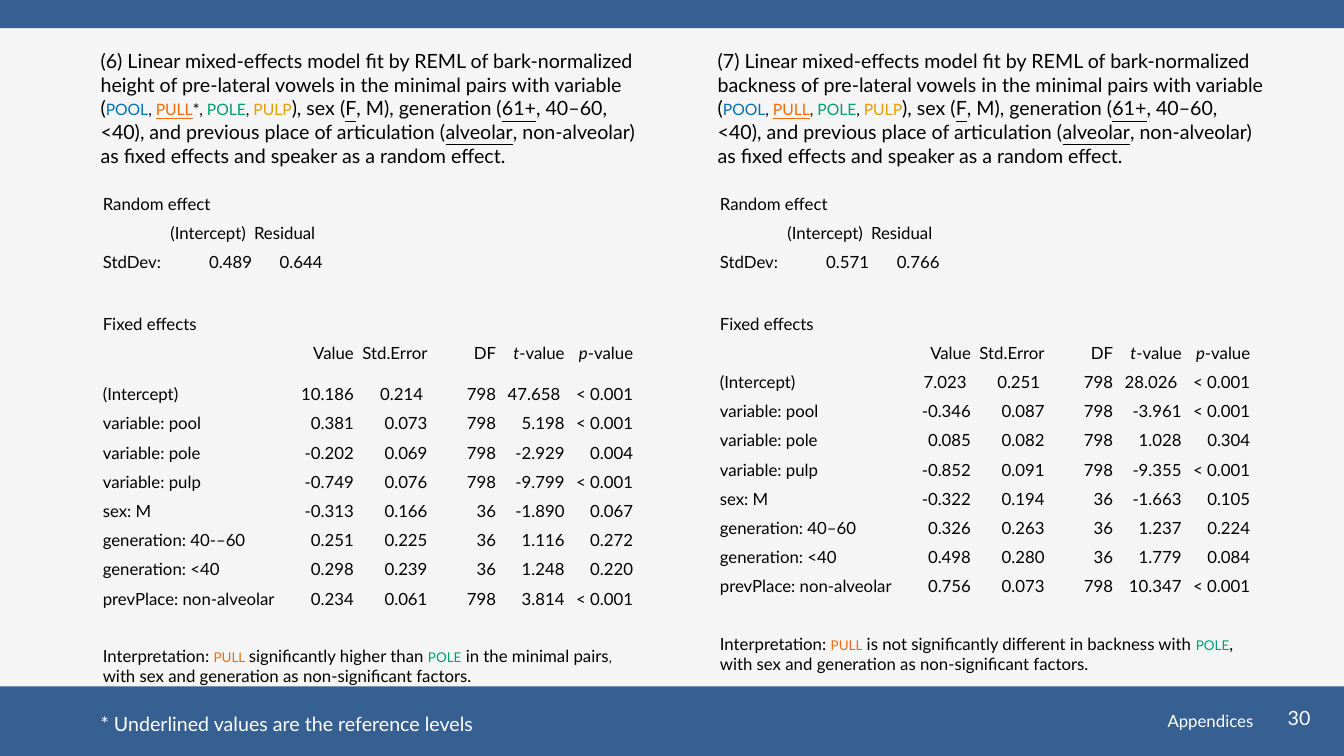
from pptx import Presentation, util as u
from pptx.dml.color import RGBColor
from pptx.enum import shapes, text

INK, WHITE, NAVY = "000000", "FFFFFF", "376092"
WORD_COLOURS = {"pool": "0072B2", "pull": "F06C0A", "pole": "009E73", "pulp": "E69F00"}
NO_GRID_STYLE = "{2D5ABB26-0587-4C30-8999-92F81FD0307C}"
rgb = RGBColor.from_string
ALIGN = text.PP_ALIGN
ANCHOR = text.MSO_ANCHOR

deck = Presentation()
deck.slide_width, deck.slide_height = u.Inches(13.33), u.Inches(7.5)
page = deck.slides.add_slide(deck.slide_layouts[6])
page.background.fill.solid()
page.background.fill.fore_color.rgb = rgb("F5F5F5")


def write(para, words, size=12, colour=INK, underline=False, italic=False, small=False):
    """Add one span; a keyword of the study takes its colour and small caps."""
    span = para.add_run()
    span.text = words
    keyword = words.strip() in WORD_COLOURS
    font = span.font
    font.name, font.size = "Lato", u.Pt(size)
    font.color.rgb = rgb(WORD_COLOURS[words.strip()] if keyword else colour)
    if underline:
        font.underline = True
    if italic:
        font.italic = True
    if small or keyword:
        font._element.set("cap", "small")


def lay_table(left, top, columns, heights, rows, left_rows):
    """Place a plain table; a row with one entry spans every column."""
    frame = page.shapes.add_table(len(rows), len(columns), u.Inches(left), u.Inches(top),
                                  u.Inches(sum(columns)), u.Inches(sum(heights)))
    table = frame.table
    table.first_row = table.horz_banding = False
    table._tbl.tblPr[0].text = NO_GRID_STYLE
    for column, width in zip(table.columns, columns):
        column.width = u.Inches(width)
    for r, row in enumerate(rows):
        table.rows[r].height = u.Inches(heights[r])
        if len(row) == 1:
            table.cell(r, 0).merge(table.cell(r, len(columns) - 1))
        for c in range(len(columns)):
            cell = table.cell(r, c)
            cell.fill.background()
            cell.vertical_anchor = ANCHOR.BOTTOM
            cell.margin_left = cell.margin_right = cell.margin_top = u.Inches(0.01)
            cell.margin_bottom = 0
            para = cell.text_frame.paragraphs[0]
            entry = row[c] if c < len(row) else ""
            if not entry:
                para._p.get_or_add_endParaRPr().set("sz", "1200")
                continue
            para.alignment = ALIGN.LEFT if c == 0 or r in left_rows else ALIGN.RIGHT
            for words, style in [(entry, {})] if isinstance(entry, str) else entry:
                write(para, words, **style)


# Bands at the foot and head of the page
for top, height in ((6.81, 0.69), (0, 0.28)):
    band = page.shapes.add_shape(shapes.MSO_SHAPE.RECTANGLE, 0, u.Inches(top),
                                 deck.slide_width, u.Inches(height))
    band.shadow.inherit = False
    band.fill.solid()
    band.fill.fore_color.rgb = rgb(NAVY)
    band.line.fill.background()

# Content of the two models
PLAIN, MARKED, ITALIC, SMALL = {}, {"underline": True}, {"italic": True}, {"small": True}
HEADER = ["", "Value", "Std.Error", "DF",
          [("t", ITALIC), ("-value", PLAIN)], [("p", ITALIC), ("-value", PLAIN)]]
models = [
    dict(number=6, measure="height", after_pull="*, ", deviations=["0.489", "0.644"],
         effects=[
             ["(Intercept)", " 10.186 ", " 0.214 ", "798", " 47.658 ", "< 0.001"],
             ["variable: pool", "0.381", "0.073", "798", "5.198", "< 0.001"],
             ["variable: pole", "-0.202", "0.069", "798", "-2.929", "0.004"],
             ["variable: pulp", "-0.749", "0.076", "798", "-9.799", "< 0.001"],
             ["sex: M", "-0.313", "0.166", "36", "-1.890", "0.067"],
             ["generation: 40-–60", "0.251", "0.225", "36", "1.116", "0.272"],
             ["generation: <40", "0.298", "0.239", "36", "1.248", "0.220"],
             ["prevPlace: non-alveolar", "0.234", "0.061", "798", "3.814", "< 0.001"]],
         reading=[("Interpretation: ", PLAIN), ("pull ", PLAIN),
                  ("significantly higher than ", PLAIN), ("pole", PLAIN),
                  (" in the minimal pairs", PLAIN), (", ", SMALL),
                  ("with sex and generation as non-significant factors.", PLAIN)]),
    dict(number=7, measure="backness", after_pull=", ", deviations=["0.571", "0.766"],
         effects=[
             ["(Intercept)", " 7.023 ", " 0.251 ", "798", " 28.026 ", "< 0.001"],
             ["variable: pool", "-0.346", "0.087", "798", "-3.961", "< 0.001"],
             ["variable: pole", "0.085", "0.082", "798", "1.028", "0.304"],
             ["variable: pulp", "-0.852", "0.091", "798", "-9.355", "< 0.001"],
             ["sex: M", "-0.322", "0.194", "36", "-1.663", "0.105"],
             ["generation: 40–60", "0.326", "0.263", "36", "1.237", "0.224"],
             ["generation: <40", "0.498", "0.280", "36", "1.779", "0.084"],
             ["prevPlace: non-alveolar", "0.756", "0.073", "798", "10.347", "< 0.001"]],
         reading=[("Interpretation: ", PLAIN), ("pull", PLAIN),
                  (" is not significantly different in backness with ", PLAIN),
                  ("pole", PLAIN),
                  (", with sex and generation as non-significant factors.", PLAIN)]),
]

# Text boxes: left, top, width, height, size, colour, alignment, anchor, spans
boxes = [
    (12.53, 6.95, 0.71, 0.4, 14, WHITE, ALIGN.CENTER, ANCHOR.TOP, [("30", PLAIN)]),
    (8.03, 6.95, 4.5, 0.4, 12, WHITE, ALIGN.RIGHT, ANCHOR.MIDDLE, [("Appendices", PLAIN)]),
    (0.9, 7.01, 4.8, 0.34, 14, WHITE, ALIGN.LEFT, ANCHOR.TOP,
     [("* Underlined values are the reference levels", PLAIN)]),
]

# One half of the page for each model: two tables and a caption
ROW, HALF = 0.29, 6.12
for half, model in enumerate(models):
    shift = half * HALF
    lay_table(1.01 + shift, 3.02, [1.93, 0.58, 0.73] + [0.68] * 3, [ROW] * 10 + [0.77],
              [["Fixed effects"], HEADER, *model["effects"], [model["reading"]]], {0})
    lay_table(1.01 + shift, 1.83, [0.67, 0.83, 0.7], [ROW] * 3,
              [["Random effect"], ["", "(Intercept)", "Residual"],
               ["StdDev:", *model["deviations"]]], {0, 1})
    caption = [
        (f"({model['number']}) Linear mixed-effects model fit by REML of bark-normalized "
         f"{model['measure']} of pre-lateral vowels in the minimal pairs with variable (", PLAIN),
        ("pool", PLAIN), (", ", SMALL), ("pull", MARKED), (model["after_pull"], SMALL),
        ("pole", PLAIN), (", ", SMALL), ("pulp", PLAIN), ("), sex (", PLAIN), ("F", MARKED),
        (", M), generation (", PLAIN), ("61+", MARKED),
        (", 40–60, <40), and previous place of articulation (", PLAIN), ("alveolar", MARKED),
        (", non-alveolar) as fixed effects and speaker as a random effect.", PLAIN)]
    boxes.append((0.9 + shift, 0.44, 5.56 + 0.06 * half, 1.28, 14, INK,
                  ALIGN.LEFT, ANCHOR.TOP, caption))

for left, top, width, height, size, colour, alignment, anchor, spans in boxes:
    box = page.shapes.add_textbox(*map(u.Inches, (left, top, width, height)))
    box.text_frame.word_wrap = True
    box.text_frame.vertical_anchor = anchor
    para = box.text_frame.paragraphs[0]
    para.alignment = alignment
    for words, style in spans:
        write(para, words, size=size, colour=colour, **style)

deck.save("out.pptx")
